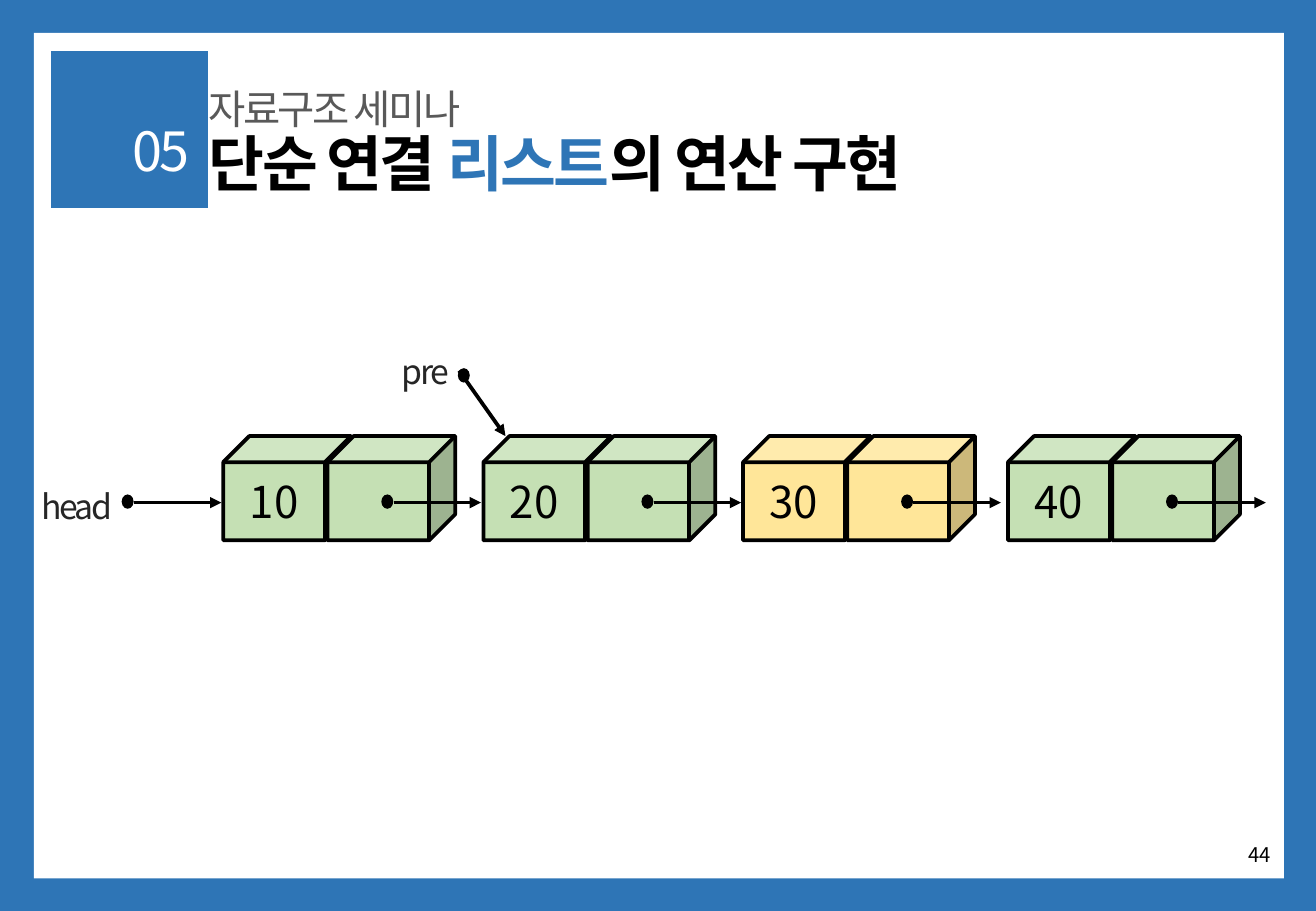
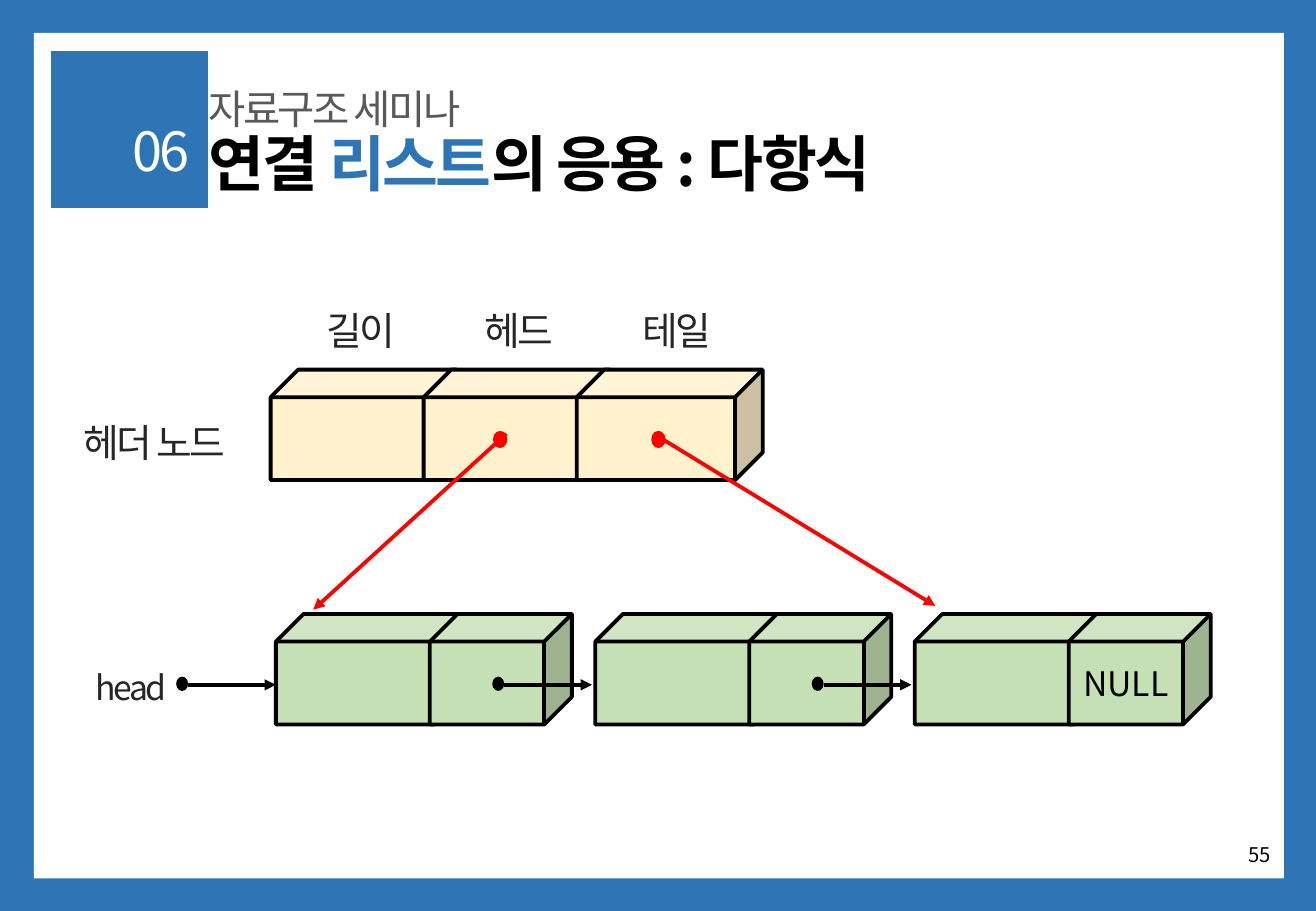
import dataclasses

import lxml.etree
import pptx
import pptx.dml.color
import pptx.enum.shapes
import pptx.enum.text
import pptx.oxml.ns
import pptx.util

Cm = pptx.util.Cm
Pt = pptx.util.Pt
SHAPE = pptx.enum.shapes.MSO_SHAPE
ALIGN = pptx.enum.text.PP_ALIGN
ANCHOR = pptx.enum.text.MSO_ANCHOR
qn = pptx.oxml.ns.qn


@dataclasses.dataclass(frozen=True)
class Theme:
    """Colours, font, type sizes and line width of the deck."""
    font: str = "Noto Sans CJK KR"
    blue: str = "2E75B6"
    white: str = "FFFFFF"
    black: str = "000000"
    grey: str = "595959"
    label: str = "262626"
    green: str = "C5E0B4"
    yellow: str = "FFE699"
    cream: str = "FFF2CC"
    red: str = "FF0000"
    title_size: int = 36
    number_size: int = 32
    value_size: int = 26
    subtitle_size: int = 24
    caption_size: int = 23
    label_size: int = 20
    page_size: int = 12
    line_width: float = 2.25
    tracking: int = -150


T = Theme()


def rgb(value):
    """Turn a hex string into a colour."""
    return pptx.dml.color.RGBColor.from_string(value)


def format_run(r, size, color, bold=False, tight=True):
    """Set font, size, colour and tracking of a run."""
    r.font.name, r.font.size, r.font.bold = T.font, Pt(size), bold
    r.font.color.rgb = rgb(color)
    rPr = r.font._element
    lxml.etree.SubElement(rPr, qn("a:ea"), typeface=T.font)
    if tight:
        rPr.set("spc", str(T.tracking))


def add_text(s, box, text, size, color, align=ALIGN.LEFT,
             anchor=ANCHOR.TOP, tight=True):
    """Add a one-line text box and return its paragraph."""
    tf = s.shapes.add_textbox(*map(Cm, box)).text_frame
    tf.word_wrap = True
    tf.vertical_anchor = anchor
    tf.text = text
    p = tf.paragraphs[0]
    p.alignment = align
    format_run(p.runs[0], size, color, tight=tight)
    return p


def add_shape(s, kind, box, fill, outlined=False):
    """Add a flat preset shape, with a black outline if asked."""
    sp = s.shapes.add_shape(kind, *map(Cm, box))
    sp.shadow.inherit = False
    sp.fill.solid()
    sp.fill.fore_color.rgb = rgb(fill)
    if outlined:
        sp.line.color.rgb = rgb(T.black)
        sp.line.width = Pt(T.line_width)
    else:
        sp.line.fill.background()
    return sp


def add_cube(s, box, fill, text="", size=T.value_size):
    """Add one list cell, with centred text if given."""
    sp = add_shape(s, SHAPE.CUBE, box, fill, outlined=True)
    if text:
        tf = sp.text_frame
        tf.text = text
        tf.vertical_anchor = ANCHOR.MIDDLE
        p = tf.paragraphs[0]
        p.alignment = ALIGN.CENTER
        format_run(p.runs[0], size, T.black, tight=False)


def add_pointer(s, center, start, end, color=T.black, dot=(0.25, 0.3)):
    """Add a dot and the arrow that leaves it."""
    x, y = center
    w, h = dot
    add_shape(s, SHAPE.FLOWCHART_CONNECTOR, (x - w / 2, y - h / 2, w, h), color)
    c = s.shapes.add_connector(pptx.enum.shapes.MSO_CONNECTOR.STRAIGHT,
                               *map(Cm, start + end))
    c.line.color.rgb = rgb(color)
    c.line.width = Pt(T.line_width)
    spPr = c.element.spPr
    lxml.etree.SubElement(spPr.find(qn("a:ln")), qn("a:tailEnd"), type="triangle")
    lxml.etree.SubElement(spPr, qn("a:effectLst"))


def add_link(s, x, y):
    """Add a pointer of standard length running right."""
    add_pointer(s, (x, y), (x + 0.13, y + 0.02), (x + 1.96, y + 0.02))


def add_frame(layout, s):
    """Put the blue frame and the number square on the layout."""
    bands = [((0, 0, 27.52, 19.05), T.blue),
             ((0.71, 0.69, 26.14, 17.68), T.white),
             ((1.07, 1.07, 3.28, 3.28), T.blue)]
    for i, (box, fill) in enumerate(bands):
        element = add_shape(s, SHAPE.RECTANGLE, box, fill).element
        element.nvSpPr.cNvPr.set("id", str(100 + i))
        layout.shapes.element.insert(2 + i, element)


def space_heading(p):
    """Apply the line spacing that all headings share."""
    p.line_spacing = 0.9
    p.space_before = Pt(10)


def add_heading(s, number, title_parts, page):
    """Fill the title, subtitle, section number and page number."""
    title = s.shapes.title
    title.left, title.top, title.width, title.height = map(
        Cm, (4.11, 2.72, 17.09, 1.52))
    tf = title.text_frame
    tf.auto_size = pptx.enum.text.MSO_AUTO_SIZE.NONE
    tf.vertical_anchor = ANCHOR.MIDDLE
    p = tf.paragraphs[0]
    p.alignment = ALIGN.LEFT
    space_heading(p)
    for text, color in zip(title_parts, (T.black, T.blue, T.black)):
        r = p.add_run()
        r.text = text
        format_run(r, T.title_size, color, bold=True)
    space_heading(add_text(s, (4.11, 1.93, 12.5, 0.79), "자료구조 세미나",
                           T.subtitle_size, T.grey, anchor=ANCHOR.MIDDLE))
    space_heading(add_text(s, (1.5, 2.57, 2.72, 1.3), number, T.number_size,
                           T.white, ALIGN.RIGHT, ANCHOR.MIDDLE))
    add_text(s, (20.62, 17.35, 6.2, 1.02), page, T.page_size, T.black,
             ALIGN.RIGHT, ANCHOR.MIDDLE, tight=False)


def draw_list_operation(s):
    """Draw four linked nodes with the head and pre pointers."""
    top, link_y = 9.12, 10.49
    nodes = [(4.67, "10", T.green), (10.11, "20", T.green),
             (15.54, "30", T.yellow), (21.08, "40", T.green)]
    for left, value, fill in nodes:
        add_cube(s, (left, top, 2.67, 2.18), fill, value)
        add_cube(s, (left + 2.18, top, 2.67, 2.18), fill)
        add_link(s, left + 3.43, link_y)
    add_text(s, (0.61, 10.03, 2.18, 1.12), "head", T.label_size, T.label)
    add_link(s, 2.67, link_y)
    add_text(s, (8.15, 7.21, 1.93, 1.12), "pre", T.label_size, T.label)
    add_pointer(s, (9.7, 7.85), (9.6, 7.75), (10.57, top))


def draw_polynomial(s):
    """Draw the header node above the list it points into."""
    for i, caption in enumerate(("길이", "헤드", "테일")):
        add_cube(s, (5.66 + 3.2 * i, 7.73, 3.89, 2.31), T.cream)
        add_text(s, (6.58 + 3.3 * i, 6.3, 2.46, 1.24), caption,
                 T.caption_size, T.label)
    add_text(s, (1.5, 8.64, 4.45, 1.24), "헤더 노드", T.caption_size, T.label)

    top, link_y = 12.84, 14.3
    for i, text in enumerate(("", "", "NULL")):
        left = 5.77 + 6.68 * i
        add_cube(s, (left, top, 3.89, 2.31), T.green)
        add_cube(s, (left + 3.22, top, 2.97, 2.31), T.green, text, T.label_size)
        if not text:
            add_link(s, left + 4.65, link_y)
    add_text(s, (1.75, 13.82, 2.18, 1.12), "head", T.label_size, T.label)
    add_link(s, 3.81, link_y)

    for center_x, start_x, end in ((10.46, 10.59, (6.55, 12.75)),
                                   (13.77, 13.67, (19.56, 12.67))):
        add_pointer(s, (center_x, 9.19), (start_x, 9.07), end, T.red, (0.3, 0.36))


def main():
    """Build and save the deck."""
    prs = pptx.Presentation()
    prs.slide_width, prs.slide_height = Cm(27.52), Cm(19.05)
    layout = prs.slide_layouts[5]
    operation, polynomial = (prs.slides.add_slide(layout) for _ in range(2))
    add_frame(layout, operation)
    add_heading(operation, "05", ("단순 연결 ", "리스트", "의 연산 구현"), "44")
    draw_list_operation(operation)
    add_heading(polynomial, "06", ("연결 ", "리스트", "의 응용 : 다항식"), "55")
    draw_polynomial(polynomial)
    prs.save("out.pptx")


main()
